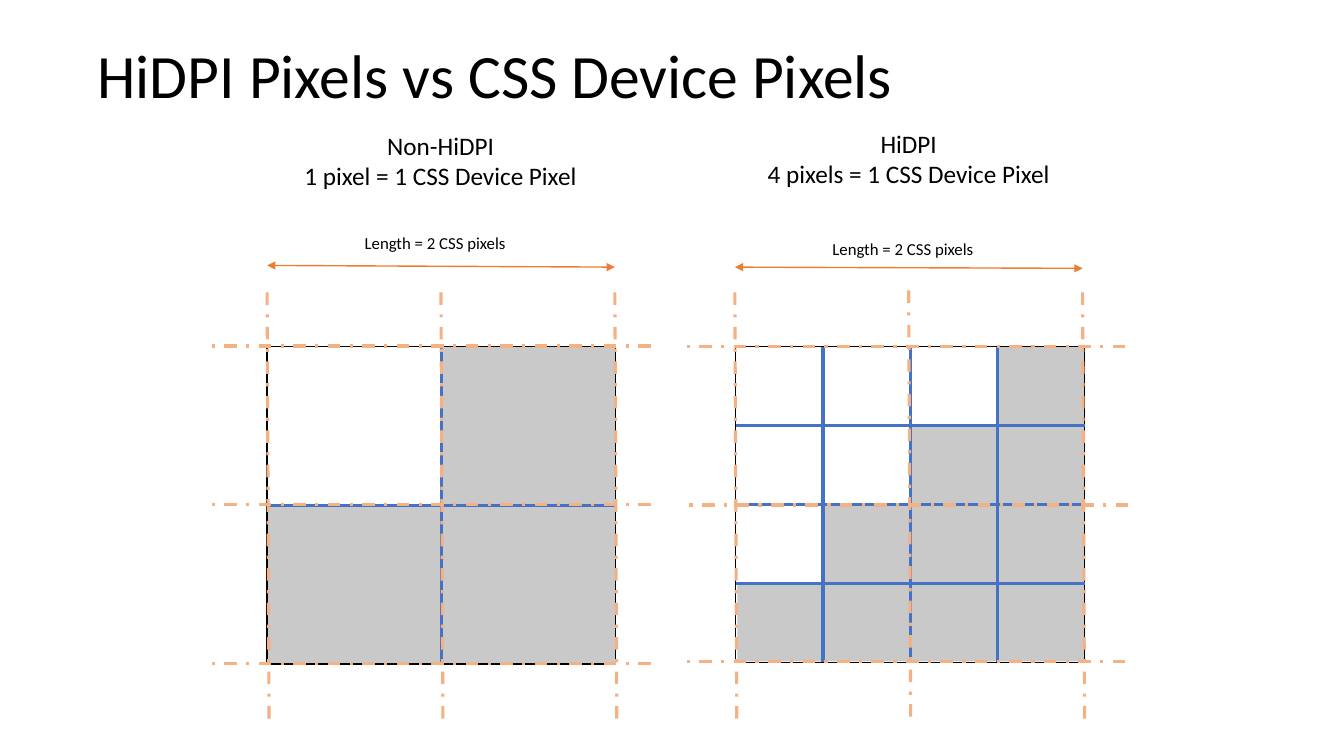
"""Build a slide comparing HiDPI pixels with CSS device pixels."""
from lxml import etree
from pptx import Presentation
from pptx.dml.color import RGBColor
from pptx.enum.dml import MSO_LINE
from pptx.enum.shapes import MSO_CONNECTOR, MSO_SHAPE
from pptx.enum.text import MSO_ANCHOR, PP_ALIGN
from pptx.oxml.ns import qn
from pptx.util import Pt

RECT = MSO_SHAPE.RECTANGLE
LINE = MSO_CONNECTOR.STRAIGHT
DASH = MSO_LINE.DASH_DOT
LEFT, MID = PP_ALIGN.LEFT, PP_ALIGN.CENTER
FONT = "Calibri"
BLACK, GREY, BLUE, PEACH, ORANGE = "000000", "C9C9C9", "4472C4", "F4B183", "ED7D31"

TITLE = "HiDPI Pixels vs CSS Device Pixels"
LENGTH = "Length = 2 CSS pixels"
PANELS = [
    {
        "cells": [".#", "##"],
        "frame": (190.8, 247.7, 249.1, 226.6), "inset": 0, "gap": 0.3,
        "head": ["Non-HiDPI", "1 pixel = 1 CSS Device Pixel"],
        "headbox": (209.2, 89.3, 211, 51.1),
        "note": (253.4, 162.7, 116.6, 21.6),
        "arrow": (190.8, 189.6, 439.2, 190.8),
        "tops": (208.8, 208.8, 208.8),
        "rows": [(149.8, 247.2), (149.8, 360.2), (149.8, 474.2)],
    },
    {
        "cells": ["...#", "..##", ".###", "####"],
        "frame": (525.6, 247.7, 249.1, 225.4), "inset": 1.2, "gap": 0.7,
        "head": ["HiDPI", "4 pixels = 1 CSS Device Pixel"],
        "headbox": (540, 88.2, 218.2, 51.1),
        "note": (587.5, 167, 116.6, 21.6),
        "arrow": (524.9, 190.8, 773.3, 191.7),
        "tops": (208.8, 207.4, 208.8),
        "rows": [(488.9, 247.7), (491, 360.7), (488.9, 472.3)],
    },
]
REACH, FOOT, LEAN = 315, 514.8, 1.4


def tint(code):
    return RGBColor.from_string(code)


def write(frame, lines, size, align):
    for i, text in enumerate(lines):
        para = frame.paragraphs[0] if i == 0 else frame.add_paragraph()
        para.alignment = align
        run = para.add_run()
        run.text = text
        run.font.name = FONT
        run.font.size = Pt(size)
        run.font.color.rgb = tint(BLACK)


def label(slide, box, lines, size, align):
    frame = slide.shapes.add_textbox(*map(Pt, box)).text_frame
    frame.word_wrap = False
    write(frame, lines, size, align)


def block(slide, box, fill=None):
    shape = slide.shapes.add_shape(RECT, *map(Pt, box))
    shape.shadow.inherit = False
    if fill:
        shape.fill.solid()
        shape.fill.fore_color.rgb = tint(fill)
        shape.line.fill.background()
    else:
        shape.fill.background()
        shape.line.color.rgb = tint(BLACK)
        shape.line.width = Pt(1)
    return shape


def rule(slide, ends, color, width=2.25, dash=None, heads=False):
    wire = slide.shapes.add_connector(LINE, *map(Pt, ends))
    wire.line.color.rgb = tint(color)
    wire.line.width = Pt(width)
    if dash:
        wire.line.dash_style = dash
    if heads:
        for tag in ("a:headEnd", "a:tailEnd"):
            etree.SubElement(wire.line._get_or_add_ln(), qn(tag), type="triangle")
    etree.SubElement(wire._element.spPr, qn("a:effectLst"))
    return wire


def grid(slide, panel):
    x, y, w, h = panel["frame"]
    count = len(panel["cells"])
    dx, dy = w / count, h / count
    for r, row in enumerate(panel["cells"]):
        for c, mark in enumerate(row):
            if mark == "#":
                spot = (x + c * dx + panel["inset"], y + r * dy)
                block(slide, (*spot, dx - panel["gap"], dy - panel["gap"]), GREY)
    frame = block(slide, panel["frame"])
    for i in range(1, count):
        down = rule(slide, (x + i * dx, y, x + i * dx, y + h), BLUE)
        side = rule(slide, (x + w, y + i * dy, x, y + i * dy), BLUE)
        if 2 * i == count:
            down.begin_connect(frame, 0)
            down.end_connect(frame, 2)
            side.begin_connect(frame, 3)
            side.end_connect(frame, 1)


def guides(slide, panel):
    start, _, end, _ = panel["arrow"]
    step = (end - start) / 2
    for i, top in enumerate(panel["tops"]):
        x = start + i * step
        rule(slide, (x, top, x + LEAN, FOOT), PEACH, dash=DASH)
    for x, y in panel["rows"]:
        rule(slide, (x + REACH, y, x, y), PEACH, dash=DASH)


def main():
    deck = Presentation()
    deck.slide_width, deck.slide_height = Pt(960), Pt(540)
    slide = deck.slides.add_slide(deck.slide_layouts[5])
    title = slide.shapes.title
    title.left, title.top, title.width, title.height = map(Pt, (62.4, 3.6, 828, 104.4))
    title.text_frame.vertical_anchor = MSO_ANCHOR.MIDDLE
    write(title.text_frame, [TITLE], 44, LEFT)
    title.text_frame.paragraphs[0].line_spacing = 0.9
    for panel in PANELS:
        grid(slide, panel)
        guides(slide, panel)
        label(slide, panel["headbox"], panel["head"], 18, MID)
        rule(slide, panel["arrow"], ORANGE, 1, heads=True)
        label(slide, panel["note"], [LENGTH], 12, LEFT)
    deck.save("out.pptx")


if __name__ == "__main__":
    main()
